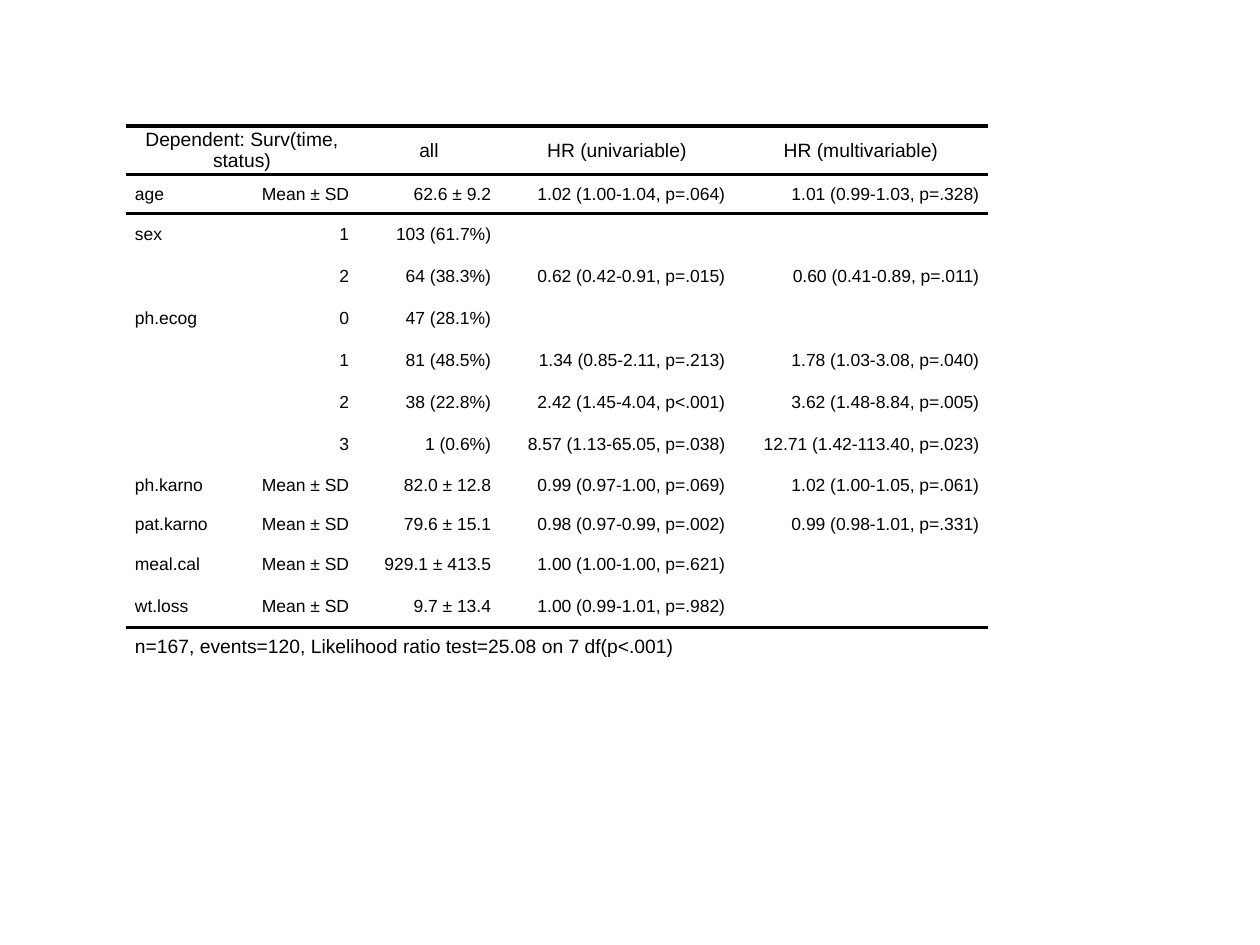
from lxml import etree
from pptx import Presentation
from pptx.dml.color import RGBColor
from pptx.enum.text import MSO_ANCHOR, PP_ALIGN
from pptx.oxml.ns import qn
from pptx.util import Pt

# Content
HEADER = ("Dependent: Surv(time, status)", "", "all", "HR (univariable)", "HR (multivariable)")
BODY = [
    ("age", "Mean ± SD", "62.6 ± 9.2", "1.02 (1.00-1.04, p=.064)", "1.01 (0.99-1.03, p=.328)"),
    ("sex", "1", "103 (61.7%)", "", ""),
    ("", "2", "64 (38.3%)", "0.62 (0.42-0.91, p=.015)", "0.60 (0.41-0.89, p=.011)"),
    ("ph.ecog", "0", "47 (28.1%)", "", ""),
    ("", "1", "81 (48.5%)", "1.34 (0.85-2.11, p=.213)", "1.78 (1.03-3.08, p=.040)"),
    ("", "2", "38 (22.8%)", "2.42 (1.45-4.04, p<.001)", "3.62 (1.48-8.84, p=.005)"),
    ("", "3", "1 (0.6%)", "8.57 (1.13-65.05, p=.038)", "12.71 (1.42-113.40, p=.023)"),
    ("ph.karno", "Mean ± SD", "82.0 ± 12.8", "0.99 (0.97-1.00, p=.069)", "1.02 (1.00-1.05, p=.061)"),
    ("pat.karno", "Mean ± SD", "79.6 ± 15.1", "0.98 (0.97-0.99, p=.002)", "0.99 (0.98-1.01, p=.331)"),
    ("meal.cal", "Mean ± SD", "929.1 ± 413.5", "1.00 (1.00-1.00, p=.621)", ""),
    ("wt.loss", "Mean ± SD", "9.7 ± 13.4", "1.00 (0.99-1.01, p=.982)", ""),
]
FOOTER = ("n=167, events=120, Likelihood ratio test=25.08 on 7 df(p<.001)", "", "", "", "")
ROWS = [HEADER, *BODY, FOOTER]

# Geometry in px
LEFT = TOP = 126
COLUMN_WIDTHS = (108, 124, 142, 234, 254)
HEADER_HEIGHT, FULL_HEIGHT, GAP_HEIGHT, FOOTER_HEIGHT = 49, 39, 42, 38
SIDE_MARGIN = 9

BLACK = RGBColor(0, 0, 0)
FONT = "Arial"
PLAIN_TABLE_STYLE = "{2D5ABB26-0587-4C30-8999-92F81FD0307C}"


def px(value):
    return round(value * 914400 / 126)


def add_border(cell, side):
    line = etree.SubElement(cell._tc.get_or_add_tcPr(), qn(f"a:ln{side}"), w=str(Pt(2)))
    fill = etree.SubElement(line, qn("a:solidFill"))
    etree.SubElement(fill, qn("a:srgbClr"), val=str(BLACK))


def format_cell(cell, text, size, alignment, margin, spacing):
    cell.vertical_anchor = MSO_ANCHOR.MIDDLE
    cell.margin_left = cell.margin_right = px(SIDE_MARGIN)
    cell.margin_top = cell.margin_bottom = px(margin) if text else 0
    cell.fill.background()
    paragraph = cell.text_frame.paragraphs[0]
    paragraph.alignment = alignment
    paragraph.space_before = paragraph.space_after = Pt(spacing if text else 0)
    paragraph.font.name = FONT
    paragraph.font.size = Pt(size)
    paragraph.font.color.rgb = BLACK
    if text:
        paragraph.add_run().text = text


# Rows with an empty cell are a little taller
heights = [HEADER_HEIGHT,
           *(FULL_HEIGHT if all(row) else GAP_HEIGHT for row in BODY),
           FOOTER_HEIGHT]

presentation = Presentation()
presentation.slide_width, presentation.slide_height = px(1260), px(945)
slide = presentation.slides.add_slide(presentation.slide_layouts[6])

# Table frame
table = slide.shapes.add_table(
    len(ROWS), len(COLUMN_WIDTHS), px(LEFT), px(TOP),
    px(sum(COLUMN_WIDTHS)), px(sum(heights))).table
table.first_row = table.horz_banding = False
table._tbl.tblPr.find(qn("a:tableStyleId")).text = PLAIN_TABLE_STYLE
for column, width in zip(table.columns, COLUMN_WIDTHS):
    column.width = px(width)
for row, height in zip(table.rows, heights):
    row.height = px(height)
last = len(ROWS) - 1
table.cell(0, 0).merge(table.cell(0, 1))
table.cell(last, 0).merge(table.cell(last, len(COLUMN_WIDTHS) - 1))

# Cells, with rules around the header and under the body
borders = {0: "TB", 1: "T", last - 1: "B", last: "T"}
for r, texts in enumerate(ROWS):
    for c, text in enumerate(texts):
        cell = table.cell(r, c)
        for side in borders.get(r, ""):
            add_border(cell, side)
        if r == 0:
            format_cell(cell, text, 11, PP_ALIGN.CENTER, 3, 2)
        elif r == last:
            format_cell(cell, text, 11, PP_ALIGN.LEFT, 8, 5)
        else:
            format_cell(cell, text, 10, PP_ALIGN.RIGHT if c else PP_ALIGN.LEFT, 3, 2)

presentation.save("out.pptx")
